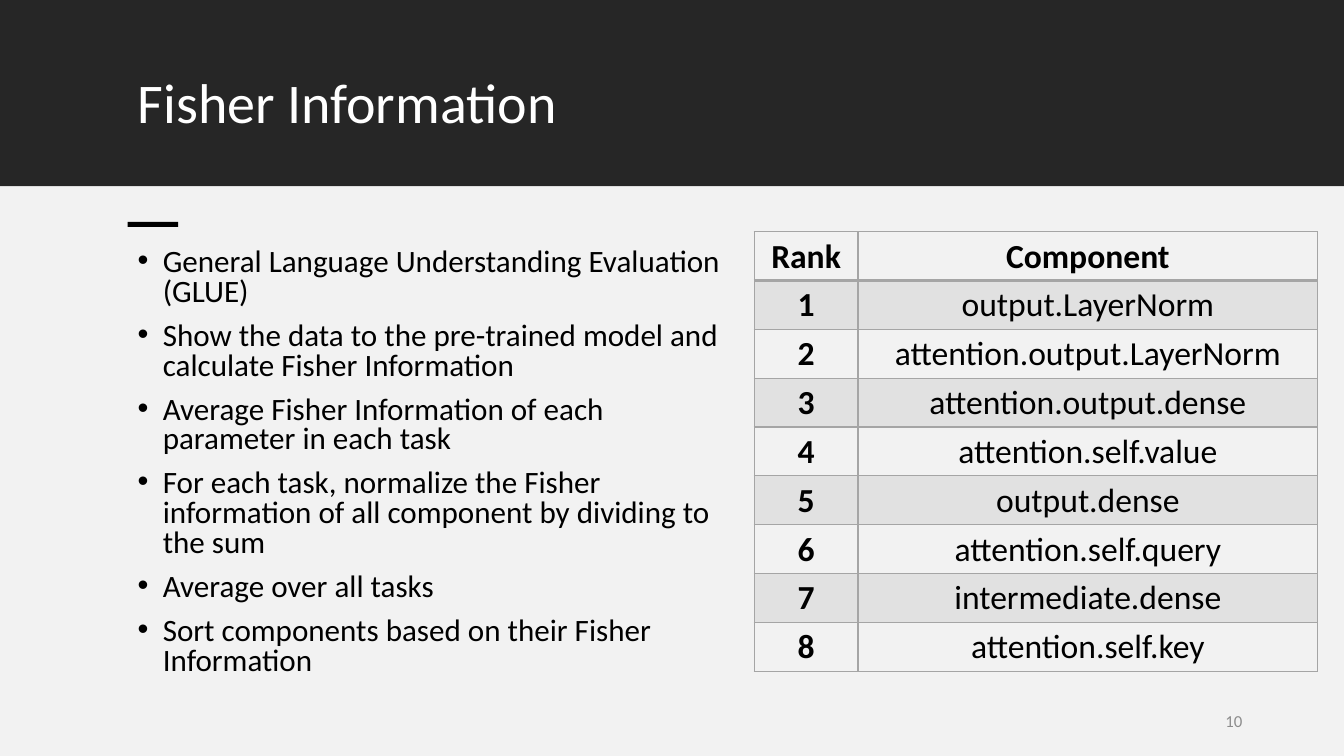
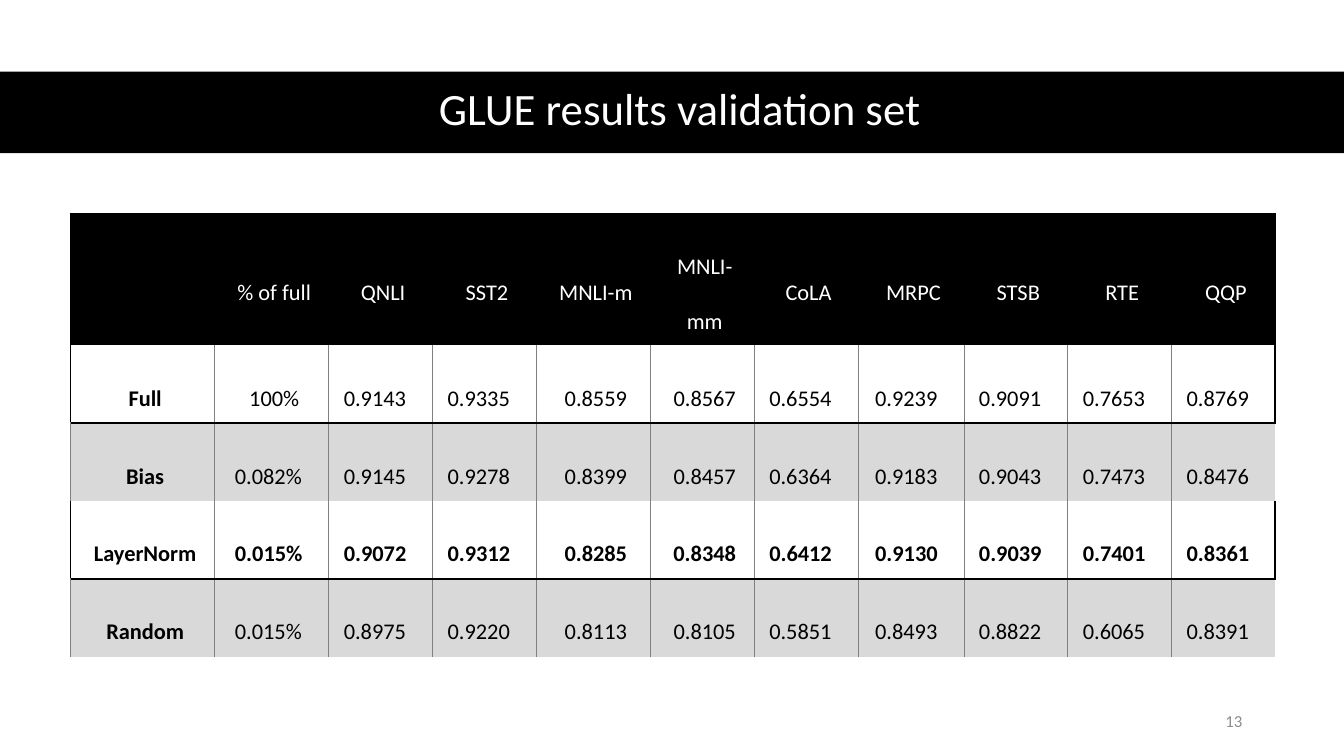
from lxml.etree import SubElement
from pptx import Presentation
from pptx.dml.color import RGBColor
from pptx.enum.shapes import MSO_SHAPE
from pptx.enum.text import MSO_ANCHOR, PP_ALIGN
from pptx.oxml.ns import qn
from pptx.util import Inches, Pt

W, H = 13.33, 7.5
MARGIN = 0.095 * W
FONT = "Calibri"
BLACK, WHITE, DARK, PALE = "000000", "FFFFFF", "262626", "F2F2F2"
RULE, HAIRLINE, STRIPE, BAND, MUTED = "A5A5A5", "808080", "E1E1E1", "D9D9D9", "8C8C8C"
NO_GRID_STYLE = "{2D5ABB26-0587-4C30-8999-92F81FD0307C}"
LEFT, CENTER, RIGHT = PP_ALIGN.LEFT, PP_ALIGN.CENTER, PP_ALIGN.RIGHT
TOP, MIDDLE = MSO_ANCHOR.TOP, MSO_ANCHOR.MIDDLE
rgb = RGBColor.from_string


def write(frame, *lines, size, color=BLACK, bold=False, align=LEFT,
          spacing=1.0, before=0, indent=0, bullet=None):
    """Write each line as a paragraph; a bullet hangs in the indent (inches)."""
    for index, line in enumerate(lines):
        paragraph = frame.add_paragraph() if index else frame.paragraphs[0]
        paragraph.alignment = align
        paragraph.line_spacing = spacing
        paragraph.space_before = Pt(before)
        run = paragraph.add_run()
        run.text = line
        run.font.name, run.font.size, run.font.bold = FONT, Pt(size), bold
        run.font.color.rgb = rgb(color)
        properties = paragraph._p.get_or_add_pPr()
        properties.set("marL", str(Inches(indent)))
        if bullet:
            properties.set("indent", str(-Inches(indent)))
            SubElement(properties, qn("a:buFont"), typeface="Arial")
            SubElement(properties, qn("a:buChar"), char=bullet)


def dress(cell, fill, edges, insets, anchor):
    """Give a cell its fill, its edges {side: (colour, points)} and its insets."""
    properties = cell._tc.get_or_add_tcPr()
    for side in "LRTB":
        if side in edges:
            color, width = edges[side]
            line = SubElement(properties, qn(f"a:ln{side}"), w=str(Pt(width)))
            SubElement(SubElement(line, qn("a:solidFill")), qn("a:srgbClr"), val=color)
    if fill:
        cell.fill.solid()
        cell.fill.fore_color.rgb = rgb(fill)
    else:
        cell.fill.background()
    (cell.margin_left, cell.margin_top,
     cell.margin_right, cell.margin_bottom) = map(Inches, insets)
    cell.vertical_anchor = anchor


presentation = Presentation()
presentation.slide_width, presentation.slide_height = Inches(W), Inches(H)
blank = presentation.slide_layouts[6]

# Bands, title, page number and table grid of each slide
HEADER = 1.85
pages = [
    dict(bands=[((0, 0, W, HEADER), DARK), ((0, HEADER, W, H - HEADER), PALE),
                ((MARGIN, 2.2, 0.5, 0.05), BLACK)],
         title="Fisher Information", title_box=(MARGIN, 0.7, 0.81 * W, 0.98),
         title_format=dict(size=40), title_anchor=TOP, number="10",
         corner=(7.48, 2.3), columns=[1.03, 4.56], rows=[4.36 / 9] * 9),
    dict(bands=[((0, 0.71, W, 0.81), BLACK)],
         title="GLUE results validation set", title_box=(0.61, 0.7, 0.92 * W, 0.81),
         title_format=dict(size=32, align=CENTER), title_anchor=MIDDLE, number="13",
         corner=(0.7, 2.12), rows=[1.28] + [0.74] * 4,
         columns=[1.43, 1.13, 1.03, 1.03, 1.13, 1.03, 1.03, 1.05, 1.03, 1.03, 1.03]),
]
slides, tables = [], []
for page in pages:
    slide = presentation.slides.add_slide(blank)
    slides.append(slide)
    for box, color in page["bands"]:
        band = slide.shapes.add_shape(MSO_SHAPE.RECTANGLE, *map(Inches, box))
        band.shadow.inherit = False
        band.fill.solid()
        band.fill.fore_color.rgb = rgb(color)
        band.line.fill.background()

    title = slide.shapes.add_textbox(*map(Inches, page["title_box"])).text_frame
    title.word_wrap, title.vertical_anchor = True, page["title_anchor"]
    write(title, page["title"], color=WHITE, spacing=0.9, **page["title_format"])

    number = slide.shapes.add_textbox(*map(Inches, (9.42, 6.95, 3, 0.4))).text_frame
    number.word_wrap, number.vertical_anchor = True, MIDDLE
    write(number, page["number"], size=12, color=MUTED, align=RIGHT)

    columns, rows = page["columns"], page["rows"]
    area = (*page["corner"], sum(columns), sum(rows))
    table = slide.shapes.add_table(len(rows), len(columns), *map(Inches, area)).table
    table._tbl.tblPr.find(qn("a:tableStyleId")).text = NO_GRID_STYLE
    table.first_row = table.horz_banding = False
    for column, width in zip(table.columns, columns):
        column.width = Inches(width)
    for row, height in zip(table.rows, rows):
        row.height = Inches(height)
    tables.append(table)

# Fisher Information: method steps and component ranking
steps = slides[0].shapes.add_textbox(
    *map(Inches, (MARGIN, 2.42, 6.03, 4.33))).text_frame
steps.word_wrap = True
write(steps,
      "General Language Understanding Evaluation (GLUE)",
      "Show the data to the pre-trained model and calculate Fisher Information",
      "Average Fisher Information of each parameter in each task",
      "For each task, normalize the Fisher information of all component by dividing to the sum",
      "Average over all tasks",
      "Sort components based on their Fisher Information",
      size=22.2, spacing=0.8, before=10, indent=0.25, bullet="•")

components = [
    "output.LayerNorm", "attention.output.LayerNorm", "attention.output.dense",
    "attention.self.value", "output.dense", "attention.self.query",
    "intermediate.dense", "attention.self.key",
]
ranking = [("Rank", "Component")] + [(str(rank), name) for rank, name in enumerate(components, 1)]
for r, entry in enumerate(ranking):
    edges = dict.fromkeys("LRTB", (RULE, 1))
    if r == 0:
        edges["B"] = (RULE, 2)
    for c, text in enumerate(entry):
        cell = tables[0].cell(r, c)
        dress(cell, STRIPE if r % 2 else None, edges, (0.01, 0.01, 0.01, 0), MIDDLE)
        write(cell.text_frame, text, size=24, bold=r == 0 or c == 0, align=CENTER)

# GLUE results: one row for each set of tuned parameters
results = [
    ["", "% of full", "QNLI", "SST2", "MNLI-m", "MNLI-mm", "CoLA", "MRPC", "STSB", "RTE", "QQP"],
    ["Full", "100%", "0.9143", "0.9335", "0.8559", "0.8567", "0.6554", "0.9239", "0.9091",
     "0.7653", "0.8769"],
    ["Bias", "0.082%", "0.9145", "0.9278", "0.8399", "0.8457", "0.6364", "0.9183", "0.9043",
     "0.7473", "0.8476"],
    ["LayerNorm", "0.015%", "0.9072", "0.9312", "0.8285", "0.8348", "0.6412", "0.9130", "0.9039",
     "0.7401", "0.8361"],
    ["Random", "0.015%", "0.8975", "0.9220", "0.8113", "0.8105", "0.5851", "0.8493", "0.8822",
     "0.6065", "0.8391"],
]
last = len(results[0]) - 1
centred_columns = (0, 4, 5)
column_indents = {1: 0.05, 7: 0.02}
thick, thin = (BLACK, 1.5), (HAIRLINE, 0.5)
for r, scores in enumerate(results):
    heading, framed = r == 0, r % 2 == 1
    for c, text in enumerate(scores):
        if heading:
            fill, edges = BLACK, dict.fromkeys("LRT", thick)
        elif framed:
            fill = None
            edges = {"L": thin if c else thick, "R": thin if c < last else thick, "B": thick}
        else:
            fill, edges = BAND, {"L": thin}
            if c < last:
                edges["R"] = thin
        cell = tables[1].cell(r, c)
        dress(cell, fill, edges, (0.15, 0.12, 0.1, 0.12), MIDDLE if heading else TOP)
        if text:
            centred = heading or c in centred_columns or text == "100%"
            write(cell.text_frame, text, size=16, spacing=2.0,
                  color=WHITE if heading else BLACK,
                  bold=not heading and (c == 0 or scores[0] == "LayerNorm"),
                  align=CENTER if centred else LEFT,
                  indent=0 if centred else column_indents.get(c, 0))

presentation.save("out.pptx")
